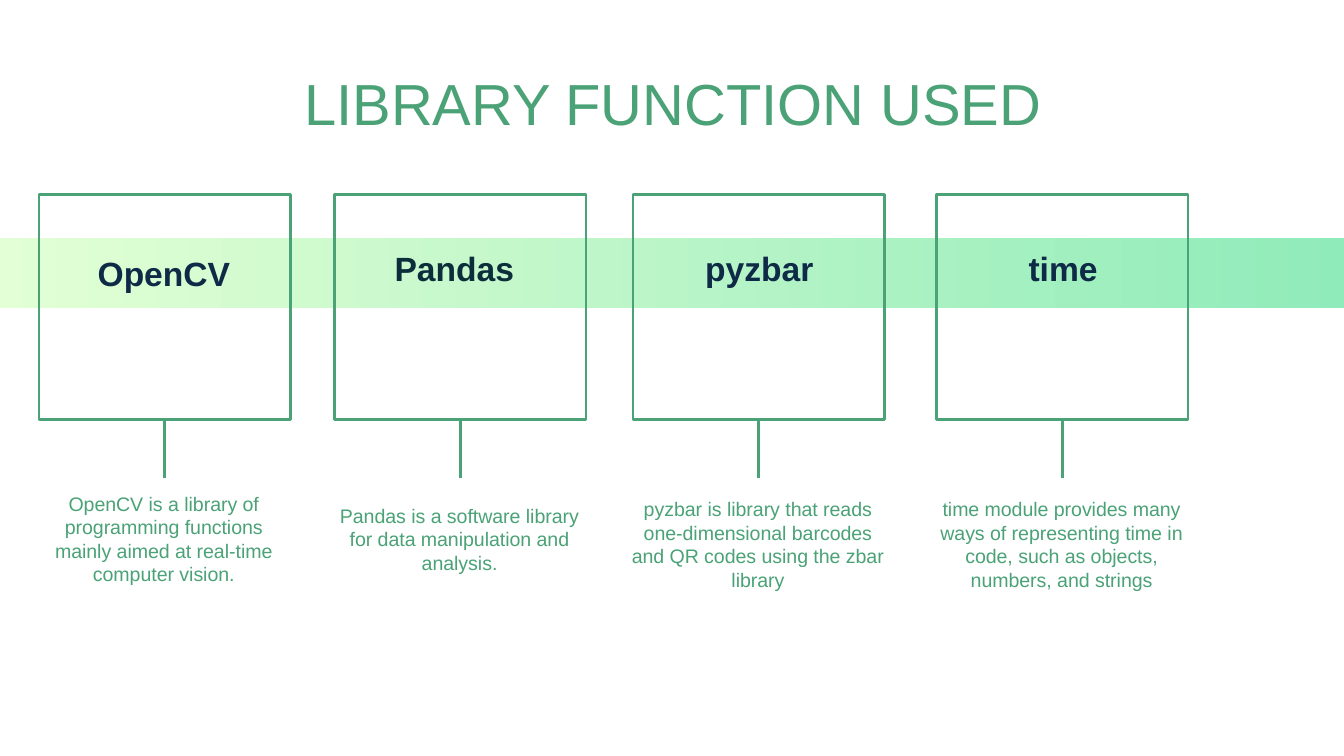
from lxml.etree import SubElement
from pptx import Presentation
from pptx.dml.color import RGBColor
from pptx.enum.shapes import MSO_CONNECTOR, MSO_SHAPE
from pptx.enum.text import MSO_ANCHOR, PP_ALIGN
from pptx.oxml.ns import qn
from pptx.util import Inches, Pt

GREEN = RGBColor(0x4A, 0xA2, 0x76)
NAVY = RGBColor(0x0E, 0x2A, 0x47)
DARK_TEAL = RGBColor(0x0C, 0x2E, 0x3A)
PALE_LIME = RGBColor(0xE3, 0xFF, 0xD5)
MINT = RGBColor(0x90, 0xEB, 0xBA)

SLIDE_WIDTH = 10
SLIDE_HEIGHT = SLIDE_WIDTH * 9 / 16
BOX_TOP, BOX_WIDTH, BOX_HEIGHT = 1.45, 1.87, 1.67
STEM_END = 3.56

# name, name colour, box left, name left, name top, description top, description
LIBRARIES = [
    ("OpenCV", NAVY, 0.29, 0.13, 1.86, 3.63,
     "OpenCV is a library of programming functions mainly aimed at "
     "real-time computer vision."),
    ("Pandas", DARK_TEAL, 2.49, 2.29, 1.82, 3.63,
     "Pandas is a software library for data manipulation and analysis."),
    ("pyzbar", NAVY, 4.71, 4.56, 1.82, 3.67,
     "pyzbar is library that reads one-dimensional barcodes and QR codes "
     "using the zbar library"),
    ("time", NAVY, 6.97, 6.82, 1.82, 3.67,
     "time module provides many ways of representing time in code, such as "
     "objects, numbers, and strings"),
]


class SlideBuilder:
    font = "Arial"
    line_width = Pt(1.5)
    inset = Inches(0.1)

    def __init__(self, slide):
        self.shapes = slide.shapes

    def rectangle(self, left, top, width, height):
        rectangle = self.shapes.add_shape(
            MSO_SHAPE.RECTANGLE, Inches(left), Inches(top),
            Inches(width), Inches(height))
        rectangle.shadow.inherit = False
        return rectangle

    def band(self, left, top, width, height, colors):
        band = self.rectangle(left, top, width, height)
        band.line.fill.background()
        band.fill.gradient()
        band.fill.gradient_angle = 0
        for position, (stop, color) in enumerate(
                zip(band.fill.gradient_stops, colors)):
            stop.position = position
            stop.color.rgb = color

    def frame(self, left, top, width, height):
        frame = self.rectangle(left, top, width, height)
        frame.fill.background()
        frame.line.color.rgb = GREEN
        frame.line.width = self.line_width
        return frame

    def stem(self, frame, bottom):
        center = frame.left + frame.width // 2
        stem = self.shapes.add_connector(
            MSO_CONNECTOR.STRAIGHT, center, frame.top + frame.height,
            center, Inches(bottom))
        stem.begin_connect(frame, 2)
        stem.line.color.rgb = GREEN
        stem.line.width = self.line_width
        SubElement(stem.element.spPr, qn("a:effectLst"))

    def text(self, words, left, top, width, height, size, color, bold=False):
        box = self.shapes.add_textbox(
            Inches(left), Inches(top), Inches(width), Inches(height))
        frame = box.text_frame
        frame.word_wrap = True
        frame.vertical_anchor = MSO_ANCHOR.MIDDLE
        frame.margin_left = frame.margin_right = self.inset
        frame.margin_top = frame.margin_bottom = self.inset
        frame.text = words
        paragraph = frame.paragraphs[0]
        paragraph.alignment = PP_ALIGN.CENTER
        font = paragraph.runs[0].font
        font.name = self.font
        font.size = Pt(size)
        font.bold = bold
        font.color.rgb = color


def main():
    presentation = Presentation()
    presentation.slide_width = Inches(SLIDE_WIDTH)
    presentation.slide_height = Inches(SLIDE_HEIGHT)
    builder = SlideBuilder(
        presentation.slides.add_slide(presentation.slide_layouts[6]))

    # Gradient band and heading
    builder.band(-0.08, 1.77, 10.16, 0.52, (PALE_LIME, MINT))
    builder.text("LIBRARY FUNCTION USED", 0.79, 0.59, 8.43, 0.35, 31, GREEN)

    # One column for each library: box, stem, name and description
    for (name, color, left, name_left, name_top,
         description_top, description) in LIBRARIES:
        box = builder.frame(left, BOX_TOP, BOX_WIDTH, BOX_HEIGHT)
        builder.stem(box, STEM_END)
        builder.text(name, name_left, name_top, 2.18, 0.35, 18, color,
                     bold=True)
        builder.text(description, left - 0.12, description_top, 2.1, 0.76,
                     10.5, GREEN)

    presentation.save("out.pptx")


if __name__ == "__main__":
    main()
